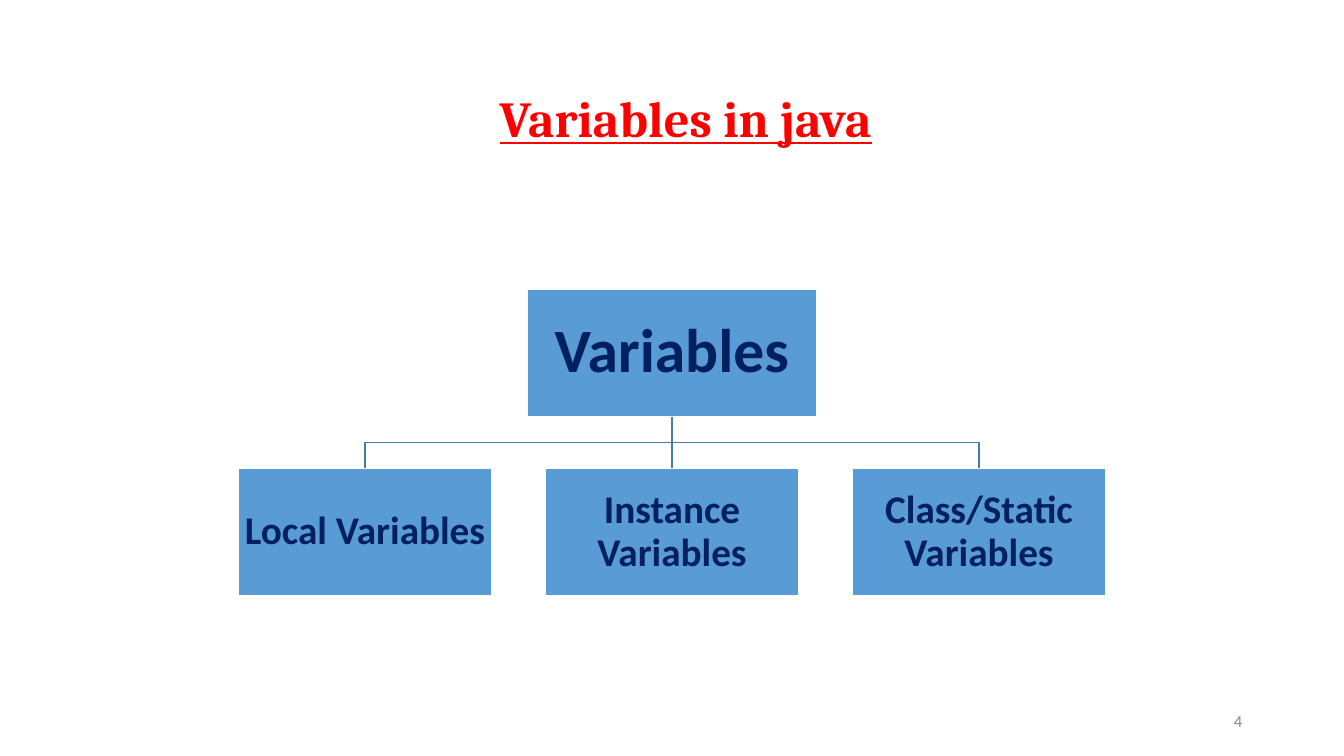
from lxml import etree
from pptx import Presentation
from pptx.dml.color import RGBColor
from pptx.enum.shapes import MSO_CONNECTOR, MSO_SHAPE
from pptx.enum.text import MSO_ANCHOR, PP_ALIGN
from pptx.oxml.ns import qn
from pptx.util import Inches, Pt

NAVY, BLUE, BRANCH_BLUE = "002060", "599BD5", "487AA8"
RED, GREY, WHITE = "FF0000", "888888", "FFFFFF"
KINDS = ["Local Variables", "Instance Variables", "Class/Static Variables"]


def color(value):
    return RGBColor.from_string(value)


def style_line(line, value):
    line.color.rgb = color(value)
    line.width = Pt(1)


def write(shape, text, size, value, font="Calibri", bold=False, underline=False,
          align=PP_ALIGN.CENTER, spacing=0.9, inset=(0.1, 0.05)):
    frame = shape.text_frame
    frame.word_wrap = True
    frame.vertical_anchor = MSO_ANCHOR.MIDDLE
    frame.margin_left = frame.margin_right = Inches(inset[0])
    frame.margin_top = frame.margin_bottom = Inches(inset[1])
    frame.text = text
    para = frame.paragraphs[0]
    para.alignment = align
    para.line_spacing = spacing
    span = para.runs[0]
    span.font.name = font
    span.font.size = Pt(size)
    span.font.bold = bold
    span.font.underline = underline
    span.font.color.rgb = color(value)


def add_text(page, left, top, width, height, text, size, value, **style):
    box = page.shapes.add_textbox(Inches(left), Inches(top), Inches(width), Inches(height))
    write(box, text, size, value, **style)


def add_node(page, center, top, width, height, text, size, inset):
    node = page.shapes.add_shape(MSO_SHAPE.RECTANGLE, Inches(center - width / 2),
                                 Inches(top), Inches(width), Inches(height))
    node.shadow.inherit = False
    node.fill.solid()
    node.fill.fore_color.rgb = color(BLUE)
    style_line(node.line, WHITE)
    write(node, text, size, NAVY, bold=True, inset=(inset, inset))


def add_branch(page, start, end, top, bottom):
    """Draw a straight line down, or a stepped one when the ends are offset."""
    if start == end:
        branch = page.shapes.add_connector(MSO_CONNECTOR.STRAIGHT, Inches(start), Inches(top),
                                           Inches(end), Inches(bottom))
        etree.SubElement(branch._element.spPr, qn("a:effectLst"))
    else:
        middle = (top + bottom) / 2
        points = [(start, middle), (end, middle), (end, bottom)]
        builder = page.shapes.build_freeform(Inches(start), Inches(top))
        builder.add_line_segments([(Inches(x), Inches(y)) for x, y in points], close=False)
        branch = builder.convert_to_shape()
        branch.shadow.inherit = False
        branch.fill.background()
    style_line(branch.line, BRANCH_BLUE)


def add_tree(page, left, top, width, height):
    """Place the root above a row of evenly spaced children."""
    node_height, child_width, root_width = 1.26, 2.52, 2.87
    root_center = left + width / 2
    child_top = top + height - node_height
    step = (width - child_width) / (len(KINDS) - 1)
    centers = [left + child_width / 2 + index * step for index in range(len(KINDS))]
    for center in reversed(centers):
        add_branch(page, root_center, center, top + node_height, child_top)
    add_node(page, root_center, top, root_width, node_height, "Variables", 44, 0.03)
    for center, kind in zip(centers, KINDS):
        add_node(page, center, child_top, child_width, node_height, kind, 28, 0.02)


def main():
    deck = Presentation()
    deck.slide_width, deck.slide_height = Inches(13.33), Inches(7.5)
    page = deck.slides.add_slide(deck.slide_layouts[6])
    add_text(page, 1.05, 0.48, 11.5, 1.45, "Variables in java", 36, RED,
             font="Cambria", bold=True, underline=True)
    add_tree(page, 2.36, 2.87, 8.61, 3.04)
    add_text(page, 9.42, 6.95, 3, 0.4, "4", 12, GREY, align=PP_ALIGN.RIGHT, spacing=1.0)
    deck.save("out.pptx")


if __name__ == "__main__":
    main()
